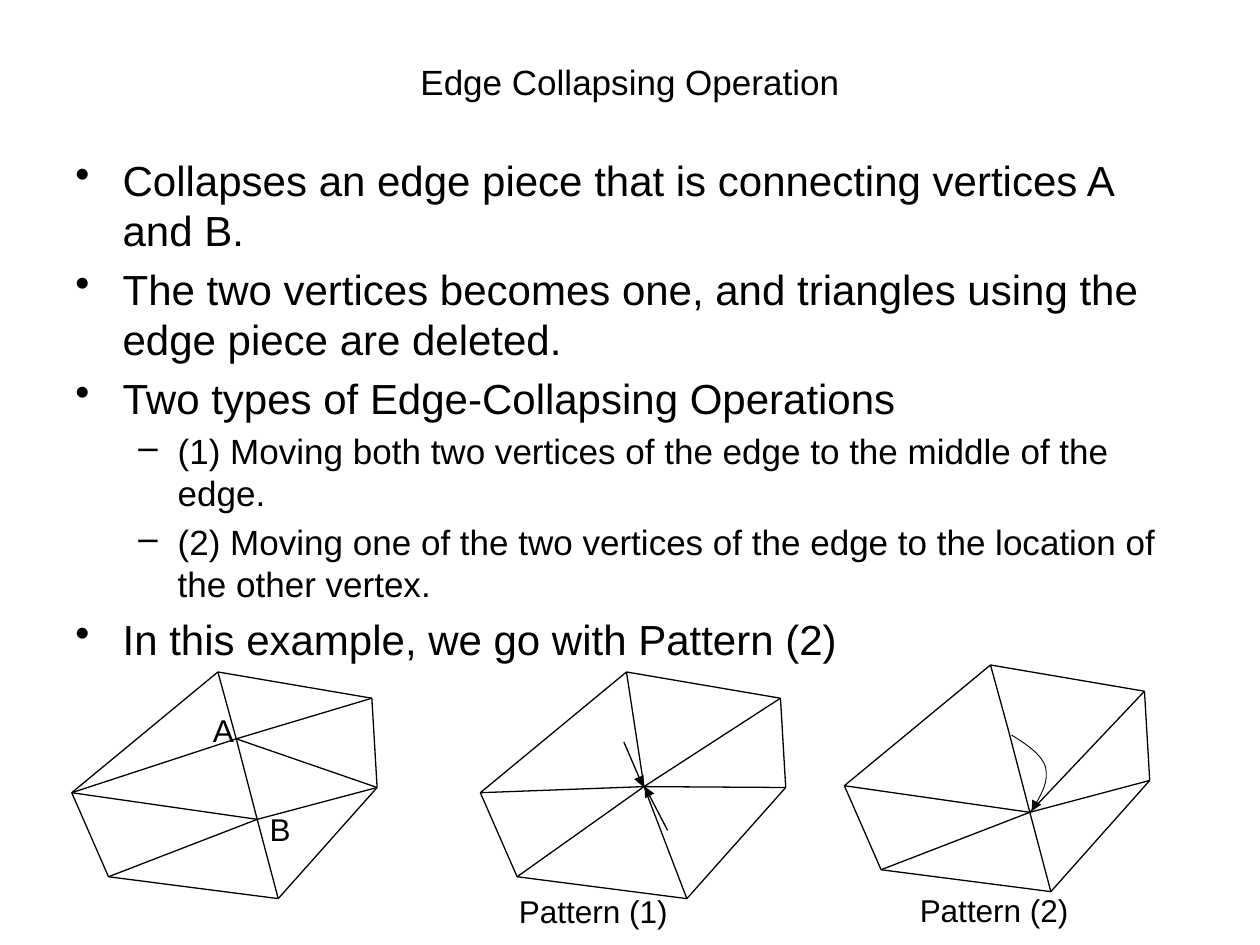
"""Build a slide that explains the edge collapsing operation on triangle meshes."""
from lxml import etree
from pptx import Presentation
from pptx import util as u
from pptx.dml.color import RGBColor
from pptx.enum import shapes, text
from pptx.oxml import ns

Pt = u.Pt
BLACK = RGBColor(0, 0, 0)
FONT = "Arial"

VERTICES = {
    "top": (83.5, 0), "upper right": (171.5, 15), "right": (174.5, 66),
    "bottom": (118, 129.5), "lower left": (21, 117), "left": (0, 69),
    "A": (94, 38.2), "B": (106, 84.2), "middle": (93.5, 65.5),
}
OUTLINE = ["top", "upper right", "right", "bottom", "lower left", "left"]
MESHES = [
    ((41, 384), {"A": ["top", "left", "upper right", "right", "B"],
                 "B": ["left", "right", "lower left", "bottom"]}),
    ((274.5, 384), {"middle": OUTLINE}),
    ((482.5, 380), {"A": ["top", "B"],
                    "B": ["upper right", "left", "right", "lower left", "bottom"]}),
]
BULLETS = [
    (0, "Collapses an edge piece that is connecting vertices A and B."),
    (0, "The two vertices becomes one, and triangles using the edge piece are deleted."),
    (0, "Two types of Edge-Collapsing Operations"),
    (1, "(1) Moving both two vertices of the edge to the middle of the edge."),
    (1, "(2) Moving one of the two vertices of the edge to the location of the other vertex."),
    (0, "In this example, we go with Pattern (2)"),
]
LEVELS = [("•", 27, 27, 24), ("–", 58.5, 22.5, 20)]
LABELS = [("A", 114.5, 402.5, 26.5), ("B", 147, 459.5, 26.5),
          ("Pattern (1)", 289.5, 506, 100), ("Pattern (2)", 518.5, 505.5, 100)]
ARROWS = [((356.5, 424), (367.5, 449.5)), ((381.5, 474.5), (368.5, 449.5))]
MOVE_CURVE = [(578, 420), (587, 425.5), (595.5, 431.5), (597.5, 438.5),
              (599, 446.5), (594.5, 455), (589.5, 463.5)]


class SlideBuilder:
    """Hold the style and the current slide."""

    def __init__(self, slide):
        self.slide = slide

    def style(self, paragraph, size):
        paragraph.font.name = FONT
        paragraph.font.size = Pt(size)
        paragraph.font.color.rgb = BLACK

    def title(self, wording, left, top, width, height):
        shape = self.slide.shapes.title
        shape.left, shape.top, shape.width, shape.height = map(Pt, (left, top, width, height))
        frame = shape.text_frame
        frame.text = wording
        frame.vertical_anchor = text.MSO_ANCHOR.MIDDLE
        frame.paragraphs[0].alignment = text.PP_ALIGN.CENTER
        self.style(frame.paragraphs[0], 20)

    def bullets(self, items, left, top, width, height):
        frame = self.slide.shapes.add_textbox(*map(Pt, (left, top, width, height))).text_frame
        frame.word_wrap = True
        for index, (level, wording) in enumerate(items):
            paragraph = frame.add_paragraph() if index else frame.paragraphs[0]
            mark, margin, hang, size = LEVELS[level]
            paragraph.text = wording
            paragraph.level = level
            paragraph.space_before = Pt(size * 0.2 if index else 0)
            properties = paragraph._p.get_or_add_pPr()
            properties.set("marL", str(Pt(margin)))
            properties.set("indent", str(-Pt(hang)))
            etree.SubElement(properties, ns.qn("a:buChar")).set("char", mark)
            self.style(paragraph, size)

    def label(self, wording, left, top, width):
        frame = self.slide.shapes.add_textbox(*map(Pt, (left, top, width, 29))).text_frame
        frame.word_wrap = False
        frame.auto_size = text.MSO_AUTO_SIZE.SHAPE_TO_FIT_TEXT
        frame.text = wording
        self.style(frame.paragraphs[0], 18)

    def stroke(self, shape, weight, arrow):
        shape.line.color.rgb = BLACK
        shape.line.width = Pt(weight)
        if arrow:
            line = shape.line._get_or_add_ln()
            etree.SubElement(line, ns.qn("a:tailEnd")).set("type", "triangle")

    def line(self, start, end, arrow=False):
        connector = self.slide.shapes.add_connector(
            shapes.MSO_CONNECTOR.STRAIGHT, *map(Pt, (*start, *end)))
        self.stroke(connector, 0.75, arrow)
        etree.SubElement(connector._element.spPr, ns.qn("a:effectLst"))

    def mesh(self, origin, spokes):
        points = {name: (origin[0] + x, origin[1] + y) for name, (x, y) in VERTICES.items()}
        edges = list(zip(OUTLINE, OUTLINE[1:] + OUTLINE[:1]))
        edges += [(end, hub) for hub, ends in spokes.items() for end in ends]
        for start, end in edges:
            self.line(points[start], points[end])

    def curve_arrow(self, points):
        start, *rest = [(Pt(x), Pt(y)) for x, y in points]
        builder = self.slide.shapes.build_freeform(*start)
        builder.add_line_segments(rest, close=False)
        shape = builder.convert_to_shape()
        shape.shadow.inherit = False
        shape.fill.background()
        self.stroke(shape, 0.5, True)
        outline = next(shape._element.iter(ns.qn("a:path")))
        segments = outline.findall(ns.qn("a:lnTo"))
        for first in range(0, len(segments), 3):
            bezier = etree.SubElement(outline, ns.qn("a:cubicBezTo"))
            for segment in segments[first:first + 3]:
                bezier.append(segment[0])
                outline.remove(segment)


def main():
    presentation = Presentation()
    presentation.slide_width, presentation.slide_height = Pt(720), Pt(540)
    builder = SlideBuilder(presentation.slides.add_slide(presentation.slide_layouts[5]))
    builder.title("Edge Collapsing Operation", 36, 21.5, 648, 50.5)
    builder.bullets(BULLETS, 36, 84.5, 648, 398)
    for origin, spokes in MESHES:
        builder.mesh(origin, spokes)
    for start, end in ARROWS:
        builder.line(start, end, arrow=True)
    builder.curve_arrow(MOVE_CURVE)
    for label in LABELS:
        builder.label(*label)
    presentation.save("out.pptx")


if __name__ == "__main__":
    main()
